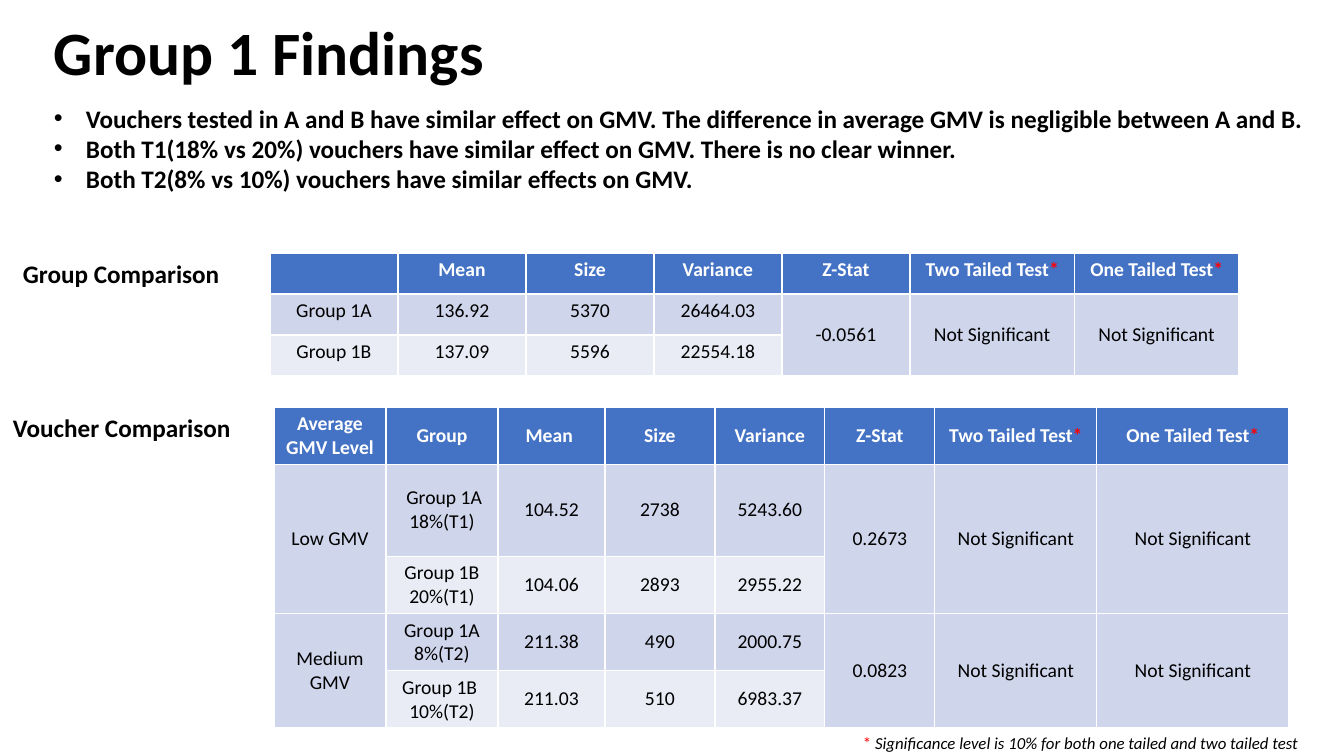
from lxml import etree
from pptx import Presentation
from pptx import util as u
from pptx.dml.color import RGBColor
from pptx.enum import text
from pptx.oxml.ns import qn

PX = 914400 / 100.8
FONT = "Calibri"
BLACK = RGBColor(0x00, 0x00, 0x00)
WHITE = RGBColor(0xFF, 0xFF, 0xFF)
RED = RGBColor(0xFF, 0x00, 0x00)
HEADER = RGBColor(0x44, 0x72, 0xC4)
BANDS = RGBColor(0xE9, 0xEB, 0xF5), RGBColor(0xCF, 0xD5, 0xEA)
MIDDLE, TOP = text.MSO_ANCHOR.MIDDLE, text.MSO_ANCHOR.TOP

NS = "Not Significant"
TESTS = ["Z-Stat", "Two Tailed Test*", "One Tailed Test*"]
GROUP_ROWS = [
    ["", "Mean", "Size", "Variance", *TESTS],
    ["Group 1A", "136.92", "5370", "26464.03", "-0.0561", NS, NS],
    ["Group 1B", "137.09", "5596", "22554.18", None, None, None],
]
VOUCHER_ROWS = [
    ["Average GMV Level", "Group", "Mean ", "Size", "Variance", *TESTS],
    ["Low GMV", " Group 1A 18%(T1)", "104.52", "2738", "5243.60", "0.2673", NS, NS],
    [None, "Group 1B\n20%(T1)", "104.06", "2893", "2955.22", None, None, None],
    ["Medium GMV", "Group 1A 8%(T2)", "211.38", "490", "2000.75", "0.0823", NS, NS],
    [None, "Group 1B \n10%(T2)", "211.03", "510", "6983.37", None, None, None],
]
FINDINGS = "\n".join([
    "Vouchers tested in A and B have similar effect on GMV. "
    "The difference in average GMV is negligible between A and B.",
    "Both T1(18% vs 20%) vouchers have similar effect on GMV. There is no clear winner.",
    "Both T2(8% vs 10%) vouchers have similar effects on GMV. ",
])
FOOTNOTE = "* Significance level is 10% for both one tailed and two tailed test"


def px(n):
    return u.Emu(round(n * PX))


def add_bullet(p, indent):
    pPr = p._p.get_or_add_pPr()
    pPr.set("marL", str(indent))
    pPr.set("indent", str(-indent))
    etree.SubElement(pPr, qn("a:buFont"), typeface="Arial")
    etree.SubElement(pPr, qn("a:buChar"), char="•")


def write_text(tf, content, size=14, color=BLACK, bold=False, italic=False,
               align=None, spacing=None, bullet=False):
    for i, line in enumerate(content.split("\n")):
        p = tf.add_paragraph() if i else tf.paragraphs[0]
        p.alignment = align
        p.line_spacing = spacing
        if bullet:
            add_bullet(p, px(32))
        for part in filter(None, line.partition("*")):
            star = part == "*"
            r = p.add_run()
            r.text = part
            r.font.name = FONT
            r.font.size = u.Pt(size)
            r.font.bold = bold
            r.font.italic = italic and not star
            r.font.color.rgb = RED if star else color


def add_text(slide, box, content, wrap=False, anchor=TOP, **fmt):
    tf = slide.shapes.add_textbox(*map(px, box)).text_frame
    tf.word_wrap = wrap
    tf.vertical_anchor = anchor
    write_text(tf, content, **fmt)


def add_table(slide, left, top, widths, heights, rows, anchor):
    box = left, top, sum(widths), sum(heights)
    table = slide.shapes.add_table(len(rows), len(widths), *map(px, box)).table
    for column, width in zip(table.columns, widths):
        column.width = px(width)
    for row, height in zip(table.rows, heights):
        row.height = px(height)
    for i, row in enumerate(rows):
        for j, value in enumerate(row):
            cell = table.cell(i, j)
            cell.fill.solid()
            cell.fill.fore_color.rgb = BANDS[i % 2] if i else HEADER
            if value is None:
                table.cell(i - 1, j).merge(cell)
                table.cell(i - 1, j).vertical_anchor = MIDDLE
                continue
            cell.vertical_anchor = anchor
            write_text(cell.text_frame, value, color=BLACK if i else WHITE,
                       bold=i == 0, align=text.PP_ALIGN.CENTER)


def main():
    prs = Presentation()
    prs.slide_width, prs.slide_height = px(1344), px(756)
    slide = prs.slides.add_slide(prs.slide_layouts[6])

    add_text(slide, (44, 3, 1136, 104), "Group 1 Findings", wrap=True,
             anchor=MIDDLE, size=44, bold=True, spacing=0.9)
    add_table(slide, 270, 253, [128] * 5 + [164.5] * 2, [41] * 3, GROUP_ROWS, TOP)
    add_table(slide, 274, 407, [112, 112, 107, 110, 110, 110, 162, 192],
              [57, 92, 57, 57, 57], VOUCHER_ROWS, MIDDLE)
    add_text(slide, (13, 253, 219, 40), "Group Comparison", size=18, bold=True)
    add_text(slide, (3, 407, 240, 40), "Voucher Comparison", size=18, bold=True)
    add_text(slide, (44, 98, 1271, 102), FINDINGS, wrap=True, size=18,
             bold=True, bullet=True)
    add_text(slide, (853, 728, 463, 30), FOOTNOTE, size=12, italic=True)

    prs.save("out.pptx")


main()
